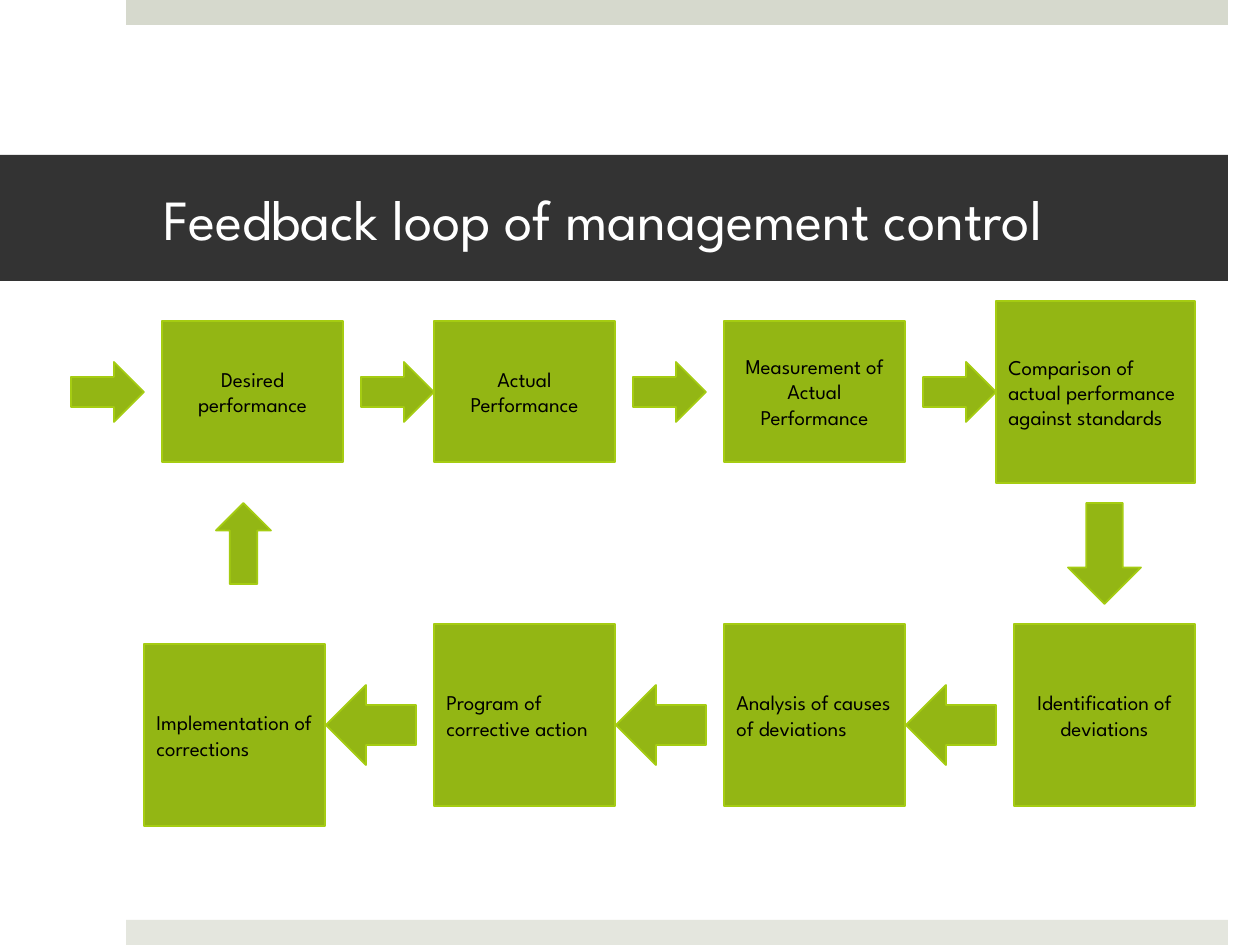
from pptx import Presentation
from pptx.dml.color import RGBColor
from pptx.enum.shapes import MSO_SHAPE as SHAPE
from pptx.enum.text import MSO_ANCHOR as ANCHOR, PP_ALIGN as ALIGN
from pptx.util import Emu, Pt

FONT = "League Spartan"
GREEN, LIME = "93B614", "A5CC12"


def px(n):
    return Emu(round(n * 914400 / 126))


def add_block(kind, x, y, w, h, fill, line=None, text="", size=12,
              color="000000", align=ALIGN.LEFT):
    s = slide.shapes.add_shape(kind, px(x), px(y), px(w), px(h))
    s.shadow.inherit = False
    s.fill.solid()
    s.fill.fore_color.rgb = RGBColor.from_string(fill)
    if line:
        s.line.color.rgb = RGBColor.from_string(line)
        s.line.width = Pt(1)
    else:
        s.line.fill.background()
    if text:
        tf = s.text_frame
        tf.word_wrap = True
        tf.vertical_anchor = ANCHOR.MIDDLE
        p = tf.paragraphs[0]
        p.text = text
        p.alignment = align
        p.font.name = FONT
        p.font.size = Pt(size)
        p.font.color.rgb = RGBColor.from_string(color)
    return s


prs = Presentation()
prs.slide_width, prs.slide_height = px(1260), px(945)
slide = prs.slides.add_slide(prs.slide_layouts[6])

add_block(SHAPE.RECTANGLE, 126, 0, 1102, 25, "D6D9CD")
add_block(SHAPE.RECTANGLE, 126, 920, 1102, 25, "E4E6DE")

title = add_block(SHAPE.RECTANGLE, 0, 155, 1228, 126, "333333",
                  text="Feedback loop of management control",
                  size=32.4, color="FFFFFF")
title.text_frame.margin_left = px(164)
title.text_frame.margin_right = px(38)

steps = [
    (162, 321, 181, 141, "Desired performance", ALIGN.CENTER),
    (434, 321, 181, 141, "Actual Performance", ALIGN.CENTER),
    (724, 321, 181, 141, "Measurement of Actual Performance", ALIGN.CENTER),
    (996, 301, 199, 182, "Comparison of actual performance against standards", ALIGN.LEFT),
    (1014, 624, 181, 182, "Identification of deviations", ALIGN.CENTER),
    (724, 624, 181, 182, "Analysis of causes of deviations", ALIGN.LEFT),
    (434, 624, 181, 182, "Program of corrective action", ALIGN.LEFT),
    (144, 644, 181, 182, "Implementation of corrections", ALIGN.LEFT),
]
for x, y, w, h, text, align in steps:
    add_block(SHAPE.RECTANGLE, x, y, w, h, GREEN, LIME, text, align=align)

for x in (71, 361, 633, 923):
    add_block(SHAPE.RIGHT_ARROW, x, 362, 73, 60, GREEN, LIME)
for x in (906, 616, 326):
    add_block(SHAPE.LEFT_ARROW, x, 685, 90, 80, GREEN, LIME)
add_block(SHAPE.DOWN_ARROW, 1068, 503, 73, 101, GREEN, LIME)
add_block(SHAPE.UP_ARROW, 216, 503, 55, 81, GREEN, LIME)

prs.save("out.pptx")
